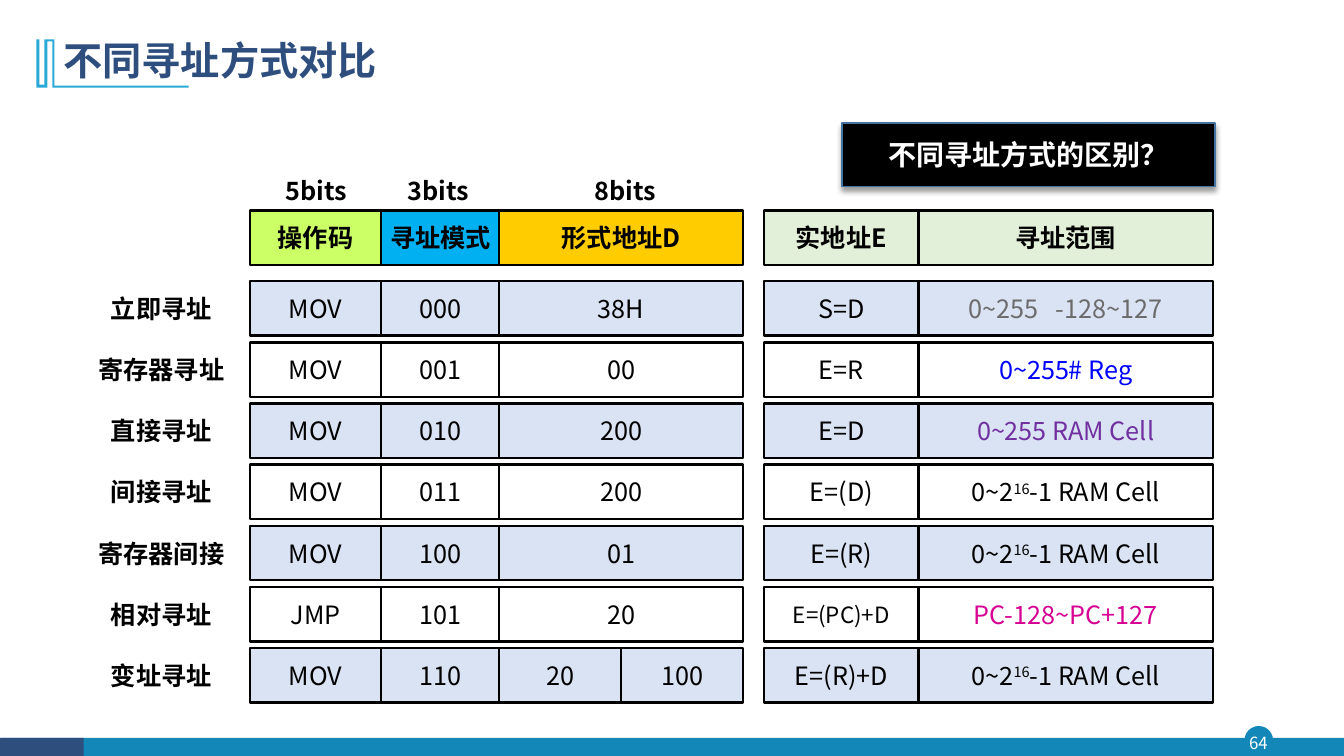
from lxml.etree import SubElement
from pptx import Presentation
from pptx.dml.color import RGBColor
from pptx.enum.shapes import MSO_SHAPE
from pptx.enum.text import MSO_ANCHOR, PP_ALIGN
from pptx.oxml.ns import qn
from pptx.util import Inches, Pt

FONT = "Noto Sans CJK SC"
TITLE_FONT = "Noto Sans CJK JP"
BLACK = RGBColor(0x00, 0x00, 0x00)
WHITE = RGBColor(0xFF, 0xFF, 0xFF)
NAVY = RGBColor(0x2E, 0x4E, 0x7E)
TEAL = RGBColor(0x13, 0x87, 0xB7)
SKY = RGBColor(0x28, 0xA9, 0xD6)
PALE_BLUE = RGBColor(0xDA, 0xE3, 0xF3)
PALE_GREEN = RGBColor(0xE2, 0xF0, 0xD9)
LIME = RGBColor(0xCC, 0xFF, 0x66)
CYAN = RGBColor(0x00, 0xB0, 0xF0)
GOLD = RGBColor(0xFF, 0xCC, 0x00)
GRAY = RGBColor(0x6B, 0x6B, 0x6B)
BLUE = RGBColor(0x00, 0x00, 0xFF)
PURPLE = RGBColor(0x70, 0x30, 0xA0)
MAGENTA = RGBColor(0xD6, 0x00, 0x93)
BANNER_BORDER = RGBColor(0x43, 0x73, 0x9E)

TITLE = "不同寻址方式对比"
QUESTION = "不同寻址方式的区别？"
PAGE_NUMBER = "64"
HEADERS = [
    ("操作码", LIME), ("寻址模式", CYAN), ("形式地址D", GOLD),
    ("实地址E", PALE_GREEN), ("寻址范围", PALE_GREEN),
]
BIT_WIDTHS = [("5bits", 2.72), ("3bits", 3.93), ("8bits", 5.79)]
WIDE_RANGE = ["0~2", ("16", "baseline", 30000), "-1 RAM Cell"]
MODES = [
    ("立即寻址", "MOV", "000", ["38H"], "S=D",
     ["0~255", (" ", "spc", 800), "-128~127"], GRAY),
    ("寄存器寻址", "MOV", "001", ["00"], "E=R", ["0~255# Reg"], BLUE),
    ("直接寻址", "MOV", "010", ["200"], "E=D", ["0~255 RAM Cell"], PURPLE),
    ("间接寻址", "MOV", "011", ["200"], "E=(D)", WIDE_RANGE, BLACK),
    ("寄存器间接", "MOV", "100", ["01"], "E=(R)", WIDE_RANGE, BLACK),
    ("相对寻址", "JMP", "101", ["20"], "E=(PC)+D", ["PC-128~PC+127"], MAGENTA),
    ("变址寻址", "MOV", "110", ["20", "100"], "E=(R)+D", WIDE_RANGE, BLACK),
]

COLUMNS = [(2.48, 1.3), (3.78, 1.18), (4.95, 2.42), (7.58, 1.53), (9.11, 2.92)]
LABEL_LEFT, LABEL_WIDTH = 0.83, 1.54
HEADER_TOP, FIRST_TOP, LAST_TOP, ROW_HEIGHT = 2.09, 2.79, 6.43, 0.54
ROW_PITCH = (LAST_TOP - FIRST_TOP) / (len(MODES) - 1)
CORNER_MARK = [
    (0.54, 0.39), (0.54, 0.85), (1.87, 0.85), (1.87, 0.87), (0.52, 0.87),
    (0.52, 0.41), (0.47, 0.41), (0.47, 0.87), (0.36, 0.87), (0.36, 0.39),
    (0.39, 0.39), (0.39, 0.84), (0.44, 0.84), (0.44, 0.39),
]


def add_runs(paragraph, pieces, size, color, bold=False, font_name=FONT):
    for piece in pieces:
        text, *setting = (piece,) if isinstance(piece, str) else piece
        run = paragraph.add_run()
        run.text = text
        run.font.size = Pt(size)
        run.font.bold = bold
        run.font.name = font_name
        run.font.color.rgb = color
        properties = run.font._element
        SubElement(properties, qn("a:ea")).set("typeface", font_name)
        if setting:
            name, value = setting
            properties.set(name, str(value))


def write(shape, pieces, size=18, color=BLACK, bold=False):
    frame = shape.text_frame
    frame.word_wrap = False
    frame.vertical_anchor = MSO_ANCHOR.MIDDLE
    paragraph = frame.paragraphs[0]
    paragraph.alignment = PP_ALIGN.CENTER
    add_runs(paragraph, pieces, size, color, bold)


def add_block(slide, box, fill, line=None, line_width=1.75, kind=MSO_SHAPE.RECTANGLE):
    shape = slide.shapes.add_shape(kind, *map(Inches, box))
    shape.shadow.inherit = False
    shape.fill.solid()
    shape.fill.fore_color.rgb = fill
    if line is None:
        shape.line.fill.background()
    else:
        shape.line.color.rgb = line
        shape.line.width = Pt(line_width)
    return shape


def add_text(slide, box, text, size, color, bold=False):
    text_box = slide.shapes.add_textbox(*map(Inches, box))
    frame = text_box.text_frame
    frame.margin_left = frame.margin_right = 0
    frame.margin_top = frame.margin_bottom = 0
    write(text_box, [text], size, color, bold)


def add_cell(slide, left, top, width, fill, pieces, **style):
    shape = add_block(slide, (left, top, width, ROW_HEIGHT), fill, BLACK)
    write(shape, pieces, **style)


def add_frame(slide):
    add_block(slide, (12.35, 7.21, 0.27, 0.27), TEAL, TEAL, 1, MSO_SHAPE.OVAL)
    add_block(slide, (0.01, 7.32, 13.32, 0.18), TEAL)
    add_block(slide, (0, 7.32, 0.83, 0.18), NAVY)
    add_text(slide, (12.32, 7.21, 0.32, 0.31), PAGE_NUMBER, 12, WHITE)
    points = [(Inches(x), Inches(y)) for x, y in CORNER_MARK]
    builder = slide.shapes.build_freeform(*points[0])
    builder.add_line_segments(points[1:], close=True)
    mark = builder.convert_to_shape()
    mark.shadow.inherit = False
    mark.fill.solid()
    mark.fill.fore_color.rgb = SKY
    mark.line.fill.background()


def add_title(slide):
    title = slide.shapes.title
    title.left, title.top = Inches(0.53), Inches(0.28)
    title.width, title.height = Inches(11.5), Inches(0.68)
    title.text_frame.vertical_anchor = MSO_ANCHOR.MIDDLE
    paragraph = title.text_frame.paragraphs[0]
    paragraph.alignment = PP_ALIGN.LEFT
    paragraph.line_spacing = 0.9
    add_runs(paragraph, [TITLE], 28, NAVY, True, TITLE_FONT)


def add_headers(slide):
    for (text, fill), (left, width) in zip(HEADERS, COLUMNS):
        add_cell(slide, left, HEADER_TOP, width, fill, [text], bold=True)
    for text, left in BIT_WIDTHS:
        add_text(slide, (left, 1.69, 0.83, 0.4), text, 18, BLACK, True)


def add_modes(slide):
    for row, mode in enumerate(MODES):
        label, opcode, code, operands, address, reach, color = mode
        top = FIRST_TOP + row * ROW_PITCH
        fill = WHITE if row % 2 else PALE_BLUE
        label_box = (LABEL_LEFT, top, LABEL_WIDTH, ROW_HEIGHT)
        write(add_block(slide, label_box, WHITE, WHITE), [label], bold=True)
        for text, (left, width) in zip((opcode, code), COLUMNS):
            add_cell(slide, left, top, width, fill, [text])
        operand_left, operand_width = COLUMNS[2]
        part = operand_width / len(operands)
        for index, text in enumerate(operands):
            add_cell(slide, operand_left + index * part, top, part, fill, [text])
        address_left, address_width = COLUMNS[3]
        size = 16 if len(address) > 7 else 18
        add_cell(slide, address_left, top, address_width, fill, [address], size=size)
        reach_left, reach_width = COLUMNS[4]
        add_cell(slide, reach_left, top, reach_width, fill, reach, color=color)


def add_question(slide):
    banner = add_block(slide, (8.35, 1.22, 3.7, 0.63), BLACK, BANNER_BORDER, 1)
    effects = banner._element.spPr.find(qn("a:effectLst"))
    shadow = SubElement(effects, qn("a:outerShdw"), blurRad=str(Pt(4)),
                        dist=str(Pt(3)), dir="5400000", rotWithShape="0")
    shadow_color = SubElement(shadow, qn("a:srgbClr"), val="000000")
    SubElement(shadow_color, qn("a:alpha"), val="40000")
    write(banner, [QUESTION], 20, WHITE, True)


def main():
    presentation = Presentation()
    presentation.slide_width = Inches(13.33)
    presentation.slide_height = Inches(7.5)
    slide = presentation.slides.add_slide(presentation.slide_layouts[5])
    add_frame(slide)
    add_title(slide)
    add_modes(slide)
    add_headers(slide)
    add_question(slide)
    presentation.save("out.pptx")


if __name__ == "__main__":
    main()
